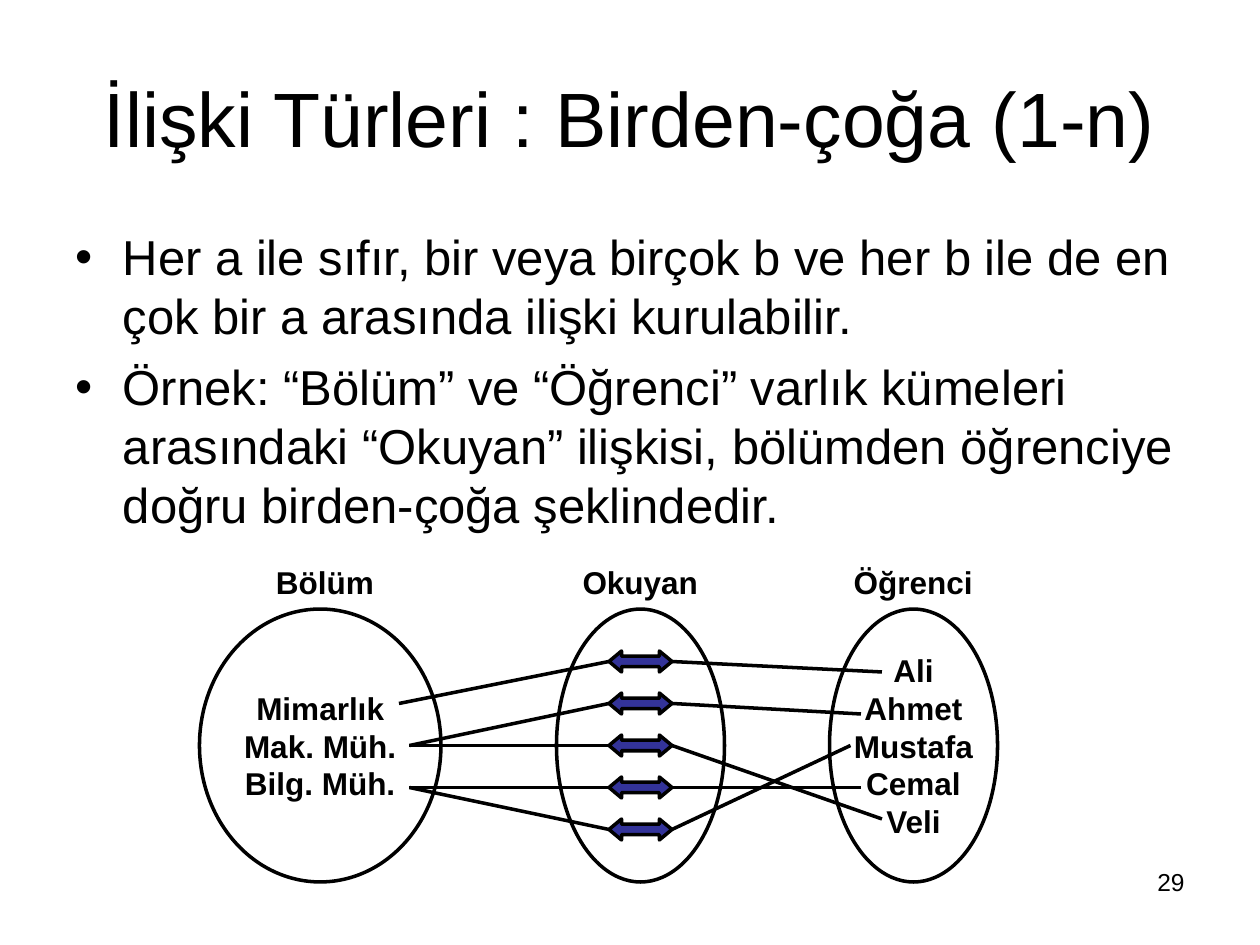
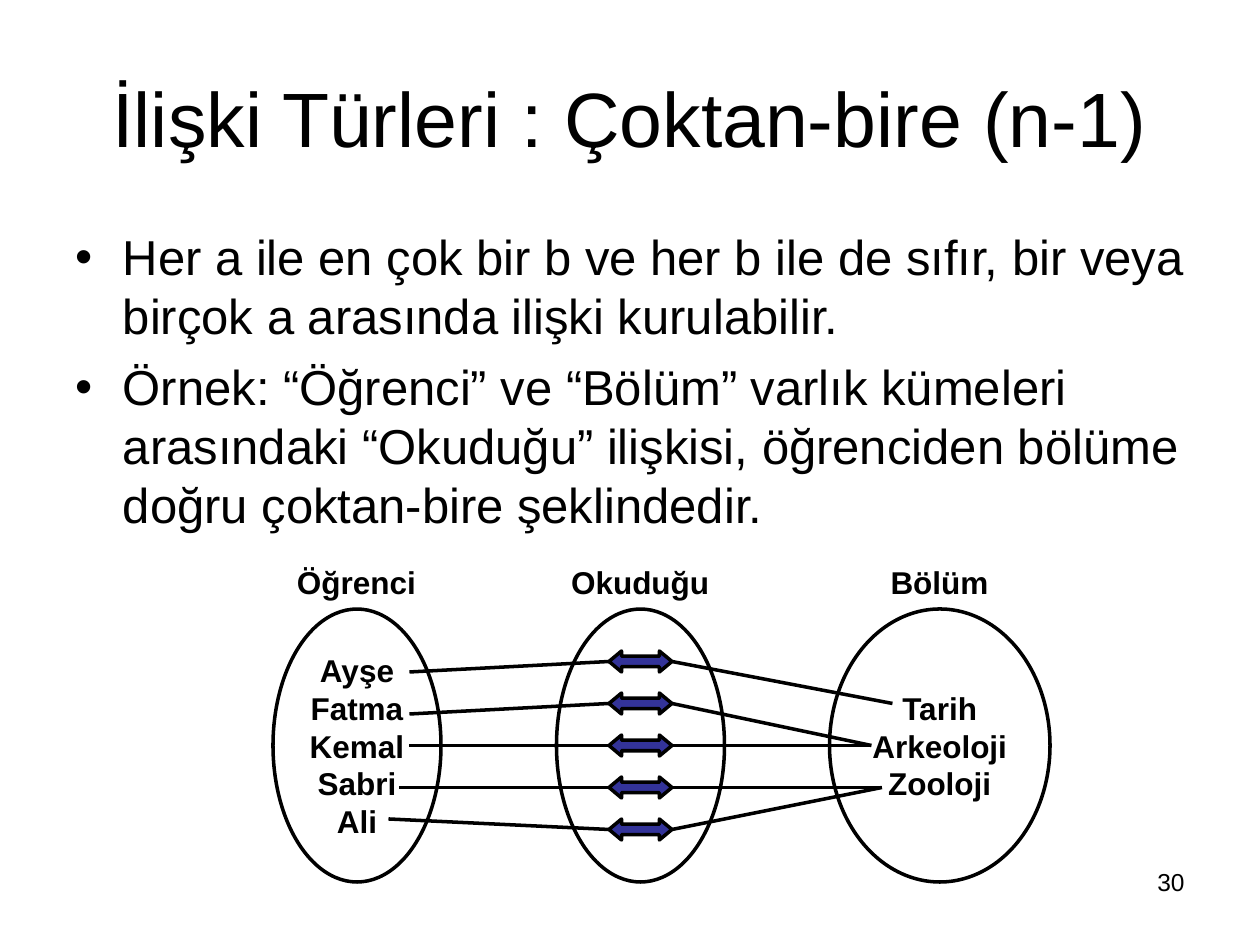
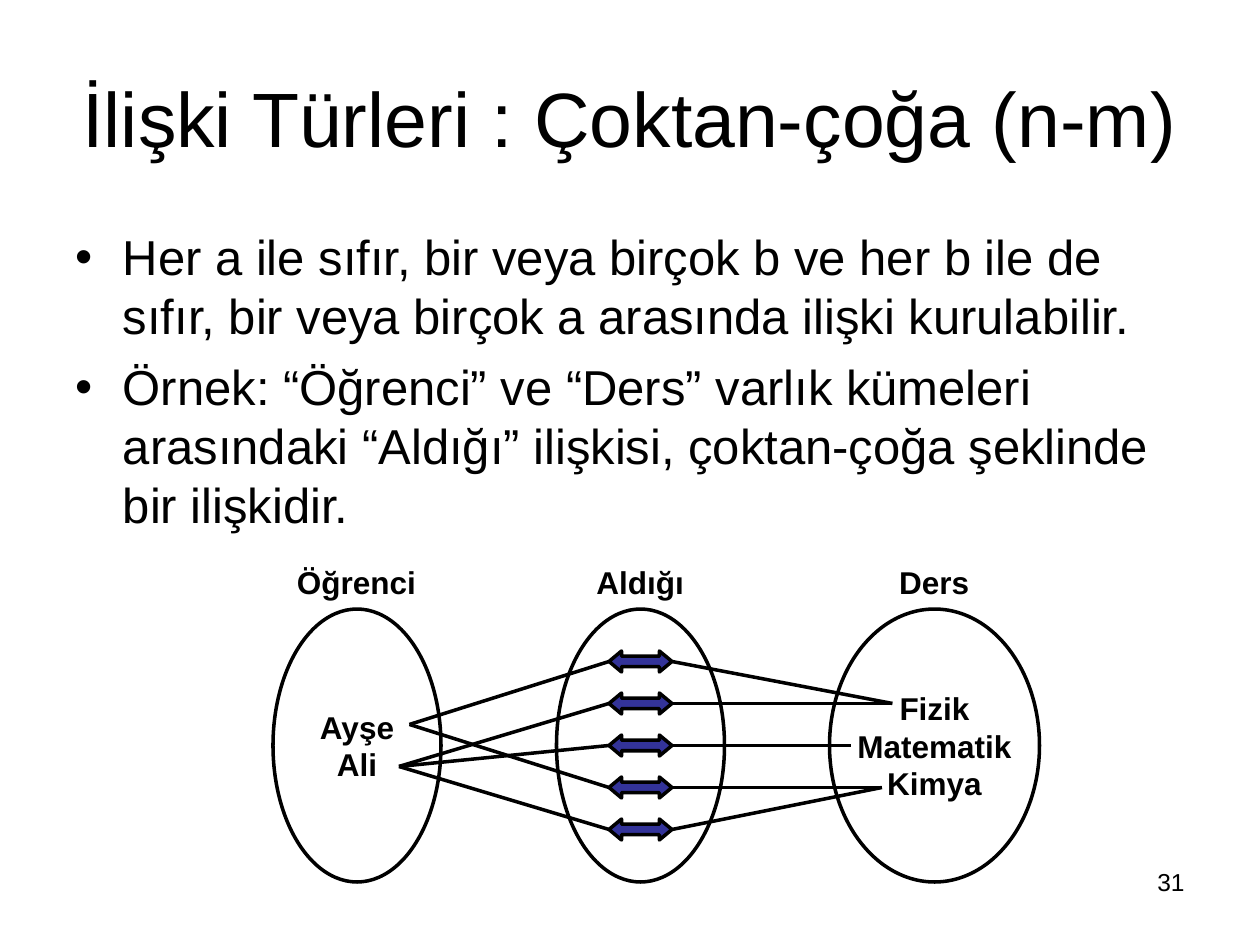
"""Builds three slides on the kinds of relationship between entity sets."""
from dataclasses import dataclass

from lxml.etree import SubElement
from pptx import Presentation
from pptx.dml.color import RGBColor
from pptx.enum.shapes import MSO_CONNECTOR as Connector, MSO_SHAPE as Preset
from pptx.enum.text import MSO_ANCHOR as Anchor, MSO_AUTO_SIZE as AutoSize, PP_ALIGN as Align
from pptx.oxml.ns import qn
from pptx.util import Cm, Pt

BLACK = RGBColor(0x00, 0x00, 0x00)
INDIGO = RGBColor(0x33, 0x33, 0x99)
FONT = "Arial"
OUTLINE = Pt(2)
STEPS_PER_WIDTH = 120
WIDTH_CM = 25.4
FIRST_NUMBER = 29

OVAL_TOP, OVAL_HEIGHT = 58, 26
RELATION_LEFT, RELATION_WIDTH = 53, 16
ARROW_LEFT, ARROW_RIGHT = 58, 64
ARROW_HEIGHT = 2
FIRST_ARROW_Y, ARROW_PITCH = 63, 4
HEADING_TOP, HEADING_WIDTH, HEADING_HEIGHT = 53, 71, 4.8
HEADING_INSET = 1.2

Point = tuple[float, float]


@dataclass(frozen=True)
class EntitySet:
    name: str
    left: float
    width: float
    members: tuple[str, ...]
    link_ends: tuple[Point, ...]

    @property
    def center(self) -> float:
        return self.left + self.width / 2


@dataclass(frozen=True)
class Relationship:
    title: str
    definition: str
    example: str
    name: str
    heading_left: float
    source: EntitySet
    target: EntitySet


RELATIONSHIPS = (
    Relationship(
        "İlişki Türleri : Birden-çoğa (1-n)",
        "Her a ile sıfır, bir veya birçok b ve her b ile de en çok bir a arasında "
        "ilişki kurulabilir.",
        "Örnek: “Bölüm” ve “Öğrenci” varlık kümeleri arasındaki “Okuyan” ilişkisi, "
        "bölümden öğrenciye doğru birden-çoğa şeklindedir.",
        "Okuyan", 25.1,
        EntitySet("Bölüm", 19, 23, ("Mimarlık", "Mak. Müh.", "Bilg. Müh."),
                  ((38, 67), (39, 71), (39, 71), (39, 75), (39, 75))),
        EntitySet("Öğrenci", 79, 16, ("Ali", "Ahmet", "Mustafa", "Cemal", "Veli"),
                  ((84, 64), (82, 68), (84, 78), (82, 75), (81, 71))),
    ),
    Relationship(
        "İlişki Türleri : Çoktan-bire (n-1)",
        "Her a ile en çok bir b ve her b ile de sıfır, bir veya birçok a arasında "
        "ilişki kurulabilir.",
        "Örnek: “Öğrenci” ve “Bölüm” varlık kümeleri arasındaki “Okuduğu” ilişkisi, "
        "öğrenciden bölüme doğru çoktan-bire şeklindedir.",
        "Okuduğu", 27.1,
        EntitySet("Öğrenci", 26, 16, ("Ayşe", "Fatma", "Kemal", "Sabri", "Ali"),
                  ((39, 64), (39, 68), (39, 71), (38, 75), (37, 78))),
        EntitySet("Bölüm", 79, 21, ("Tarih", "Arkeoloji", "Zooloji"),
                  ((85, 67), (83, 71), (83, 71), (84, 75), (84, 75))),
    ),
    Relationship(
        "İlişki Türleri : Çoktan-çoğa (n-m)",
        "Her a ile sıfır, bir veya birçok b ve her b ile de sıfır, bir veya birçok a "
        "arasında ilişki kurulabilir.",
        "Örnek: “Öğrenci” ve “Ders” varlık kümeleri arasındaki “Aldığı” ilişkisi, "
        "çoktan-çoğa şeklinde bir ilişkidir.",
        "Aldığı", 27.1,
        EntitySet("Öğrenci", 26, 16, ("Ayşe", "Ali"),
                  ((39, 69), (38, 73), (38, 73), (39, 69), (38, 73))),
        EntitySet("Ders", 79, 20, ("Fizik", "Matematik", "Kimya"),
                  ((85, 67), (85, 67), (81, 71), (84, 75), (84, 75))),
    ),
)


def steps(*counts: float) -> list[Cm]:
    return [Cm(count * WIDTH_CM / STEPS_PER_WIDTH) for count in counts]


def write(frame, lines, size: int, align: Align, bold: bool = False) -> None:
    frame.text = "\n".join(lines)
    for paragraph in frame.paragraphs:
        paragraph.alignment = align
        font = paragraph.font
        font.name, font.size, font.bold = FONT, Pt(size), bold
        font.color.rgb = BLACK


def fill_placeholder(placeholder, box, lines, size: int, align: Align) -> None:
    placeholder.left, placeholder.top, placeholder.width, placeholder.height = steps(*box)
    write(placeholder.text_frame, lines, size, align)
    placeholder.text_frame.auto_size = AutoSize.NONE


def add_outlined(slide, preset: Preset, box):
    shape = slide.shapes.add_shape(preset, *steps(*box))
    shape.shadow.inherit = False
    shape.fill.background()
    shape.line.color.rgb, shape.line.width = BLACK, OUTLINE
    return shape


def add_oval(slide, left: float, width: float, members: tuple[str, ...] = ()) -> None:
    oval = add_outlined(slide, Preset.OVAL, (left, OVAL_TOP, width, OVAL_HEIGHT))
    if members:
        write(oval.text_frame, members, 18, Align.CENTER, bold=True)
        oval.text_frame.vertical_anchor = Anchor.MIDDLE
        oval.text_frame.word_wrap = False


def add_link(slide, start: Point, end: Point) -> None:
    link = slide.shapes.add_connector(Connector.STRAIGHT, *steps(*start, *end))
    link.line.color.rgb, link.line.width = BLACK, OUTLINE
    SubElement(link._element.spPr, qn("a:effectLst"))


def add_arrow(slide, y: float) -> None:
    arrow = add_outlined(slide, Preset.LEFT_RIGHT_ARROW,
                         (ARROW_LEFT, y - ARROW_HEIGHT / 2,
                          ARROW_RIGHT - ARROW_LEFT, ARROW_HEIGHT))
    arrow.fill.solid()
    arrow.fill.fore_color.rgb = INDIGO
    arrow.adjustments[1] = 0.6


def add_text(slide, box, text: str, size: int, align: Align, bold: bool = False):
    frame = slide.shapes.add_textbox(*steps(*box)).text_frame
    frame.word_wrap = True
    write(frame, [text], size, align, bold)
    return frame.paragraphs[0]


def add_headings(slide, relationship: Relationship) -> None:
    left = relationship.heading_left
    names = (relationship.source.name, relationship.name, relationship.target.name)
    headings = add_text(slide, (left, HEADING_TOP, HEADING_WIDTH, HEADING_HEIGHT),
                        "\t".join(names), 18, Align.LEFT, bold=True)
    properties = headings._p.get_or_add_pPr()
    tab_list = SubElement(properties, qn("a:tabLst"))
    properties.insert(0, tab_list)
    centers = (RELATION_LEFT + RELATION_WIDTH / 2, relationship.target.center)
    for stop in steps(*(center - left - HEADING_INSET for center in centers)):
        SubElement(tab_list, qn("a:tab"), pos=str(int(stop)), algn="ctr")


def add_diagram(slide, relationship: Relationship) -> None:
    source, target = relationship.source, relationship.target
    add_oval(slide, RELATION_LEFT, RELATION_WIDTH)
    for entity in (target, source):
        add_oval(slide, entity.left, entity.width, entity.members)
    add_headings(slide, relationship)
    for row, (source_end, target_end) in enumerate(zip(source.link_ends, target.link_ends)):
        y = FIRST_ARROW_Y + row * ARROW_PITCH
        add_link(slide, (ARROW_LEFT, y), source_end)
        add_link(slide, target_end, (ARROW_RIGHT, y))
        add_arrow(slide, y)


def add_relationship_slide(deck, relationship: Relationship, number: int) -> None:
    slide = deck.slides.add_slide(deck.slide_layouts[1])
    title, body = slide.placeholders
    fill_placeholder(title, (6, 3.6, 108, 15), [relationship.title], 44, Align.CENTER)
    fill_placeholder(body, (6, 21, 108, 33),
                     [relationship.definition, relationship.example], 28, Align.LEFT)
    for paragraph in body.text_frame.paragraphs:
        paragraph.space_before = Pt(7)
    add_diagram(slide, relationship)
    add_text(slide, (86, 82, 28, 6.2), str(number), 14, Align.RIGHT)


def main() -> None:
    deck = Presentation()
    deck.slide_width, deck.slide_height = Cm(WIDTH_CM), Cm(19.05)
    for number, relationship in enumerate(RELATIONSHIPS, FIRST_NUMBER):
        add_relationship_slide(deck, relationship, number)
    deck.save("out.pptx")


if __name__ == "__main__":
    main()
